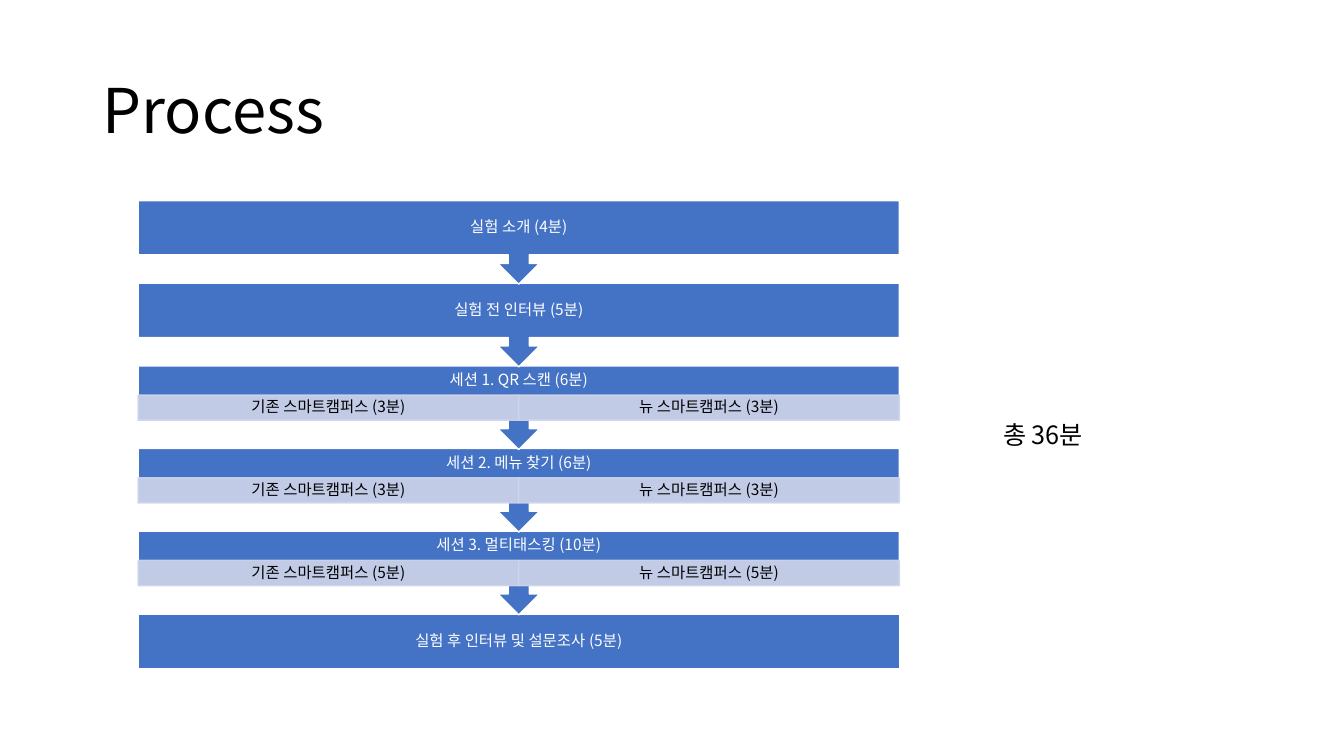
"""Builds the Process slide: an experiment timeline with its total duration."""
from dataclasses import dataclass

from lxml.etree import SubElement
from pptx import Presentation
from pptx.dml.color import RGBColor
from pptx.enum.shapes import MSO_SHAPE as Shape
from pptx.enum.text import MSO_ANCHOR as Anchor, PP_ALIGN as Align
from pptx.oxml.ns import qn
from pptx.util import Inches, Pt

TITLE = "Process"
TOTAL = "총 36분"
STEPS = [
    ("실험 소개 (4분)", ()),
    ("실험 전 인터뷰 (5분)", ()),
    ("세션 1. QR 스캔 (6분)", ("기존 스마트캠퍼스 (3분)", "뉴 스마트캠퍼스 (3분)")),
    ("세션 2. 메뉴 찾기 (6분)", ("기존 스마트캠퍼스 (3분)", "뉴 스마트캠퍼스 (3분)")),
    ("세션 3. 멀티태스킹 (10분)", ("기존 스마트캠퍼스 (5분)", "뉴 스마트캠퍼스 (5분)")),
    ("실험 후 인터뷰 및 설문조사 (5분)", ()),
]


@dataclass(frozen=True)
class Theme:
    """Holds the font, colours and type sizes."""
    font: str = "Noto Sans CJK KR"
    step: str = "4472C4"
    campus: str = "CFD5EA"
    light: str = "FFFFFF"
    dark: str = "000000"
    title_size: int = 44
    total_size: int = 18
    step_size: int = 11


THEME = Theme()
LEFT, TOP, WIDTH = 1.37, 1.99, 7.55
PITCH, CALLOUT_HEIGHT, STEP_HEIGHT = 0.82, 0.83, 0.54
CAMPUS_OFFSET, CAMPUS_HEIGHT = 0.29, 0.25


def write(holder, text, *, size, color, align=Align.LEFT, anchor=Anchor.MIDDLE,
          spacing=0.9, insets=(0.1, 0.05, 0.1, 0.05)):
    """Puts formatted text in a shape; insets run left, top, right, bottom."""
    frame = holder.text_frame
    frame.word_wrap = True
    frame.vertical_anchor = anchor
    (frame.margin_left, frame.margin_top,
     frame.margin_right, frame.margin_bottom) = map(Inches, insets)
    paragraph = frame.paragraphs[0]
    paragraph.alignment = align
    paragraph.line_spacing = spacing
    run = paragraph.add_run()
    run.text = text
    run.font.size = Pt(size)
    run.font.name = THEME.font
    run.font.color.rgb = RGBColor.from_string(color)
    SubElement(run.font._element, qn("a:ea"), typeface=THEME.font)


def add_block(slide, kind, box, fill, line, opacity=None):
    """Adds a filled and outlined shape, optionally translucent."""
    block = slide.shapes.add_shape(kind, *map(Inches, box))
    block.shadow.inherit = False
    block.line.width = Pt(1)
    for paint, color in ((block.fill, fill), (block.line.fill, line)):
        paint.solid()
        paint.fore_color.rgb = RGBColor.from_string(color)
    if opacity:
        for color in block._element.spPr.iter(qn("a:srgbClr")):
            SubElement(color, qn("a:alpha"), val=str(opacity * 1000))
    return block


def add_step(slide, index, label, campuses):
    """Adds one step, with its arrow to the next step and its campuses."""
    top = TOP + index * PITCH
    last = index == len(STEPS) - 1
    kind = Shape.RECTANGLE if last else Shape.DOWN_ARROW_CALLOUT
    height = STEP_HEIGHT if last else CALLOUT_HEIGHT
    step = add_block(slide, kind, (LEFT, top, WIDTH, height), THEME.step, THEME.light)
    bottom = STEP_HEIGHT - CAMPUS_OFFSET + 0.02 if campuses else 0.02
    write(step, label, size=THEME.step_size, color=THEME.light, align=Align.CENTER,
          insets=(0.09, 0.02, 0.09, bottom))
    for column, name in enumerate(campuses):
        width = WIDTH / len(campuses)
        box = (LEFT + column * width, top + CAMPUS_OFFSET, width, CAMPUS_HEIGHT)
        campus = add_block(slide, Shape.RECTANGLE, box, THEME.campus, THEME.campus,
                           opacity=90)
        write(campus, name, size=THEME.step_size, color=THEME.dark, align=Align.CENTER,
              insets=(0.09, 0.02, 0.09, 0.02))


def main():
    """Builds and saves the slide."""
    deck = Presentation()
    deck.slide_width, deck.slide_height = Inches(13.33), Inches(7.5)
    slide = deck.slides.add_slide(deck.slide_layouts[6])
    title = slide.shapes.add_textbox(*map(Inches, (0.92, 0.4, 11.5, 1.45)))
    write(title, TITLE, size=THEME.title_size, color=THEME.dark)
    for index, (label, campuses) in reversed(list(enumerate(STEPS))):
        add_step(slide, index, label, campuses)
    total = slide.shapes.add_textbox(*map(Inches, (9.85, 4.11, 2.57, 0.4)))
    write(total, TOTAL, size=THEME.total_size, color=THEME.dark,
          anchor=Anchor.TOP, spacing=1.0)
    deck.save("out.pptx")


if __name__ == "__main__":
    main()
